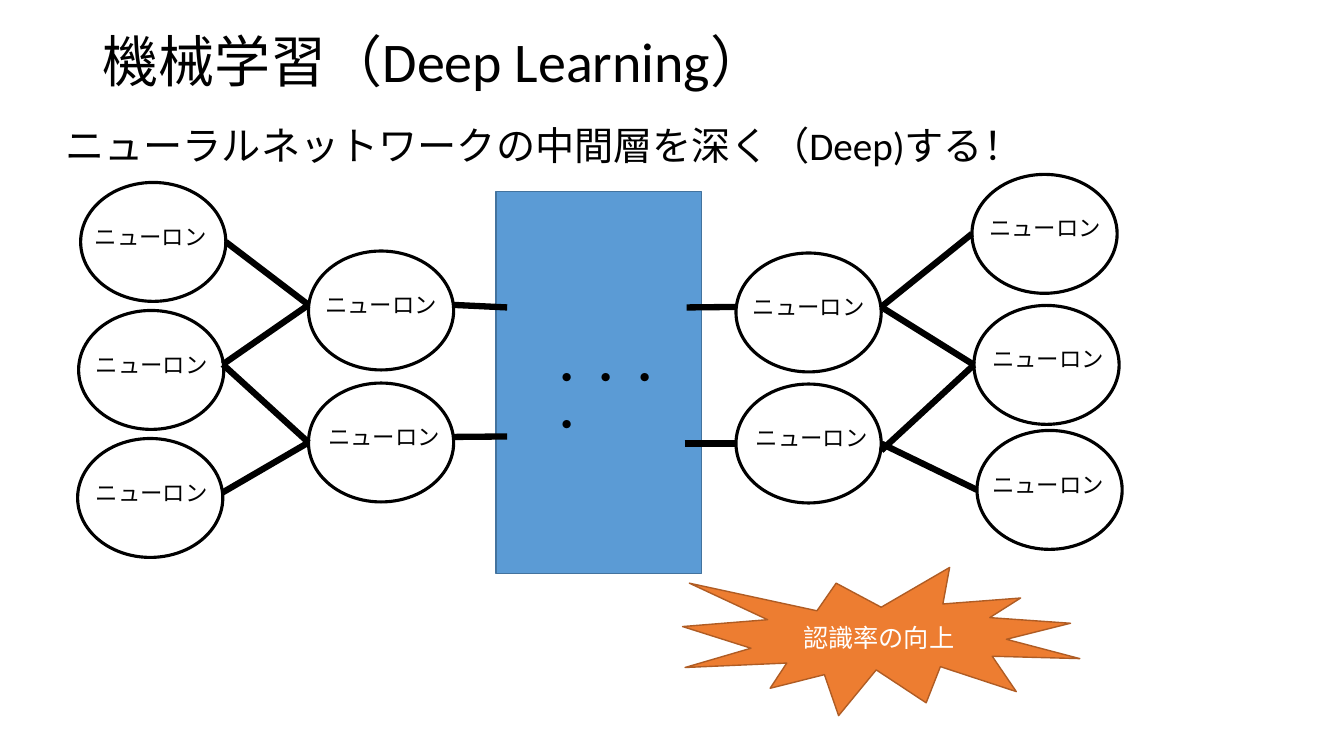
from lxml.etree import SubElement
from pptx import Presentation
from pptx.dml.color import RGBColor
from pptx.enum.shapes import MSO_CONNECTOR, MSO_SHAPE as SHAPE
from pptx.enum.text import MSO_ANCHOR as ANCHOR, MSO_AUTO_SIZE, PP_ALIGN as ALIGN
from pptx.oxml.ns import qn
from pptx.util import Emu, Pt

PX = 9144  # 100 px to the inch
FONT = "Calibri"
COLORS = {
    "ink": "000000", "white": "FFFFFF",
    "layer": "5B9BD5", "layer_edge": "43739E",
    "burst": "ED7D31", "burst_edge": "AF5C24",
}
NEURON_W, NEURON_H = 144, 118
LABEL_DROP, LABEL_H = 35, 37
LEFT, RIGHT = 1, 3

# name: neuron left, neuron top, label left, label width
NEURONS = {
    "in1": (3, 8, 1, 143),
    "in2": (1, 135, 3, 141),
    "in3": (0, 262, 3, 141),
    "near1": (229, 76, 229, 144),
    "near2": (229, 207, 235, 138),
    "far1": (653, 78, 653, 144),
    "far2": (653, 208, 659, 138),
    "out1": (887, 0, 889, 141),
    "out2": (889, 130, 894, 137),
    "out3": (892, 254, 894, 137),
}
# each end: (neuron, part, side), or a point (x, y)
LINKS = [
    (("in1", "oval", RIGHT), ("near1", "label", LEFT)),
    (("in2", "label", RIGHT), ("near1", "label", LEFT)),
    (("in2", "label", RIGHT), ("near2", "oval", LEFT)),
    (("in3", "label", RIGHT), ("near2", "oval", LEFT)),
    (("near1", "label", RIGHT), (426, 132)),
    (("near2", "label", RIGHT), (426, 260)),
    ((604, 132), ("far1", "label", LEFT)),
    ((602, 267), ("far2", "oval", LEFT)),
    (("far1", "label", RIGHT), ("out1", "oval", LEFT)),
    (("far1", "label", RIGHT), ("out2", "oval", LEFT)),
    ((797, 274), ("out2", "oval", LEFT)),
    (("far2", "oval", RIGHT), ("out3", "oval", LEFT)),
]


def px(*lengths):
    return [Emu(length * PX) for length in lengths]


def color(name):
    return RGBColor.from_string(COLORS[name])


def write(shape, text, size, ink="ink", align=ALIGN.LEFT, anchor=ANCHOR.TOP):
    frame = shape.text_frame
    frame.text = text
    frame.word_wrap = True
    frame.auto_size = MSO_AUTO_SIZE.NONE
    frame.vertical_anchor = anchor
    paragraph = frame.paragraphs[0]
    paragraph.alignment = align
    font = paragraph.runs[0].font
    font.name, font.size = FONT, Pt(size)
    font.color.rgb = color(ink)


def add_text(shapes, box, text, size, align=ALIGN.LEFT):
    textbox = shapes.add_textbox(*px(*box))
    write(textbox, text, size, align=align)
    return textbox


def add_figure(shapes, kind, box, fill, edge, weight):
    figure = shapes.add_shape(kind, *px(*box))
    figure.shadow.inherit = False
    if fill:
        figure.fill.solid()
        figure.fill.fore_color.rgb = color(fill)
    else:
        figure.fill.background()
    figure.line.color.rgb = color(edge)
    figure.line.width = Pt(weight)
    return figure


def add_title(slide, box):
    title = slide.shapes.title
    title.left, title.top, title.width, title.height = px(*box)
    write(title, "機械学習（Deep Learning）", 40, anchor=ANCHOR.MIDDLE)
    title.text_frame.paragraphs[0].line_spacing = 0.9


def add_neuron(slide, left, top, label_left, label_width):
    shapes = slide.shapes.add_group_shape().shapes
    oval = add_figure(shapes, SHAPE.OVAL, (left, top, NEURON_W, NEURON_H),
                      None, "ink", 2.25)
    label_box = (label_left, top + LABEL_DROP, label_width, LABEL_H)
    label = add_text(shapes, label_box, "ニューロン", 16, ALIGN.CENTER)
    return {"oval": oval, "label": label}


def side_middle(shape, side):
    x = shape.left + (shape.width if side == RIGHT else 0)
    return x, shape.top + shape.height // 2


def add_link(slide, neurons, ends, left, top):
    """Draw a line between two ends, joined to labels where it meets them."""
    points, joints = [], []
    for end in ends:
        if len(end) == 2:
            points += px(left + end[0], top + end[1])
            joints.append(None)
        else:
            name, part, side = end
            shape = neurons[name][part]
            points += side_middle(shape, side)
            joints.append((shape, side) if part == "label" else None)
    link = slide.shapes.add_connector(MSO_CONNECTOR.STRAIGHT, *points)
    for joint, connect in zip(joints, (link.begin_connect, link.end_connect)):
        if joint:
            connect(*joint)
    link.line.color.rgb = color("ink")
    link.line.width = Pt(4.5)
    SubElement(link._element.spPr, qn("a:effectLst"))


def add_network(slide, left, top):
    add_figure(slide.shapes, SHAPE.RECTANGLE, (left + 415, top + 17, 204, 379),
               "layer", "layer_edge", 1)
    add_text(slide.shapes, (left + 456, top + 173, 167, 57), "・・・・", 28)
    neurons = {
        name: add_neuron(slide, left + x, top + y, left + label_x, label_width)
        for name, (x, y, label_x, label_width) in NEURONS.items()
    }
    for ends in LINKS:
        add_link(slide, neurons, ends, left, top)


def add_burst(slide, box):
    burst = add_figure(slide.shapes, SHAPE.EXPLOSION1, box,
                       "burst", "burst_edge", 1)
    write(burst, "認識率の向上", 18, "white", ALIGN.CENTER, ANCHOR.MIDDLE)


def main():
    deck = Presentation()
    deck.slide_width, deck.slide_height = px(1333, 750)
    slide = deck.slides.add_slide(deck.slide_layouts[5])
    add_title(slide, (92, 30, 1150, 68))
    add_text(slide.shapes, (55, 115, 1002, 57),
             "ニューラルネットワークの中間層を深く（Deep)する！", 28)
    add_network(slide, 77, 173)
    add_burst(slide, (677, 563, 394, 147))
    deck.save("out.pptx")


if __name__ == "__main__":
    main()
